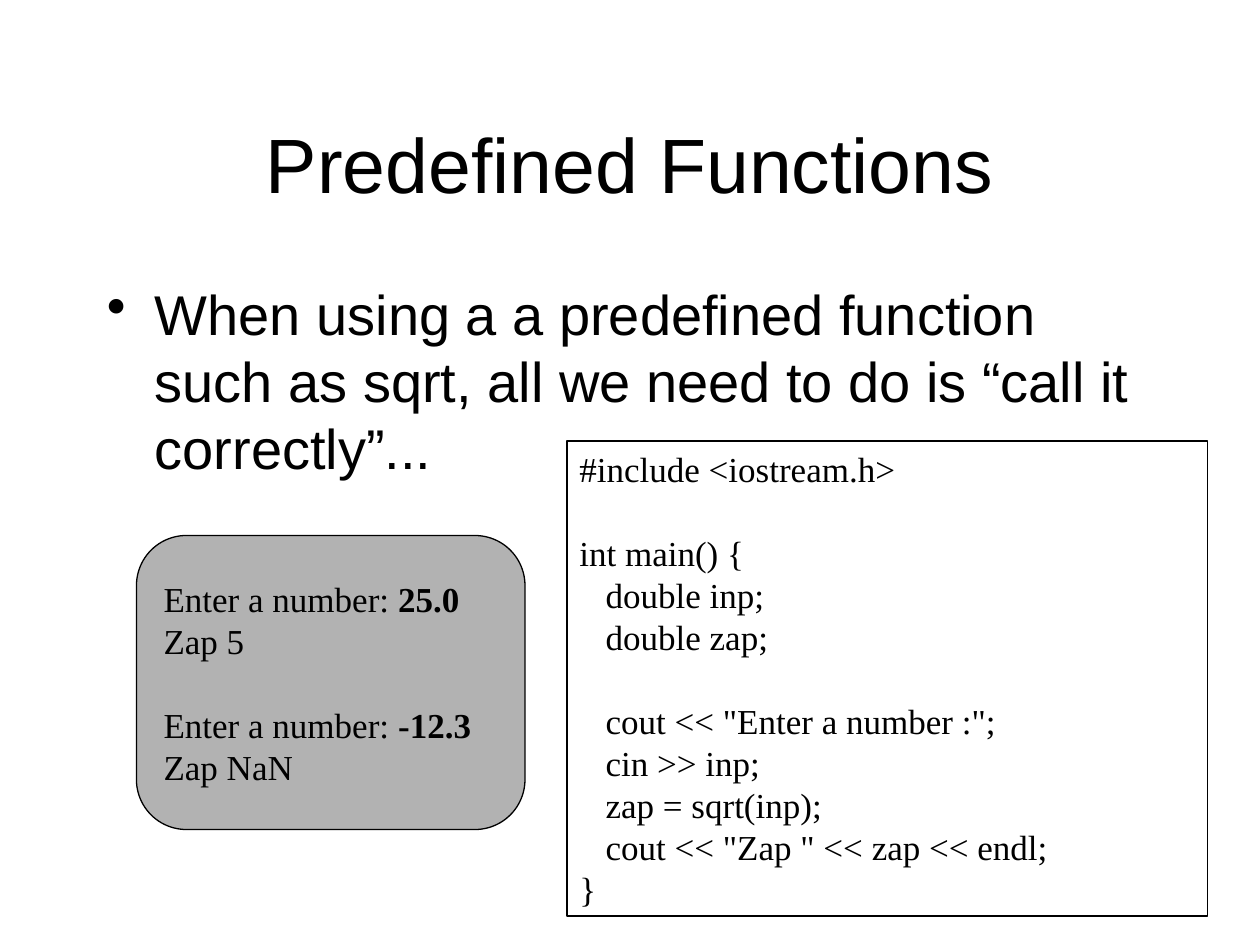
import pptx
import pptx.util
import pptx.dml.color
import pptx.enum.shapes
import pptx.enum.text
from lxml import etree

# Content: each line is a list of (text, bold) runs; an empty line is a gap
TITLE = [[("Predefined Functions", False)]]
BODY = [[("When using a a predefined function such as sqrt, "
          "all we need to do is “call it correctly”...", False)]]
CODE = """#include <iostream.h>

int main() {
   double inp;
   double zap;

   cout << "Enter a number :";
   cin >> inp;
   zap = sqrt(inp);
   cout << "Zap " << zap << endl;
}"""
CODE_LINES = [[(line, False)] if line else [] for line in CODE.split("\n")]
SESSION = [
    [("Enter a number: ", False), ("25.0", True)],
    [("Zap 5", False)],
    [],
    [("Enter a number: ", False), ("-12.3", True)],
    [("Zap NaN", False)],
]

# Design: places are left, top, width, height on a 120 by 90 grid
COLORS = {"ink": "000000", "screen": "B2B2B2"}
WIDTH, HEIGHT = 10, 7.5
COLUMNS, ROWS = 120, 90
PLACES = {
    "title": (9, 8, 102, 15),
    "body": (9, 26, 102, 54),
    "code": (54, 42, 61, 45.25),
    "session": (13, 51, 37, 28),
}
LINE_PITCH = 1.2
SHAPES = pptx.enum.shapes.MSO_SHAPE
ANCHOR = pptx.enum.text.MSO_ANCHOR
ALIGN = pptx.enum.text.PP_ALIGN


def color(name):
    return pptx.dml.color.RGBColor.from_string(COLORS[name])


def place(name):
    left, top, width, height = PLACES[name]
    column, row = WIDTH / COLUMNS, HEIGHT / ROWS
    return [pptx.util.Inches(length) for length in
            (left * column, top * row, width * column, height * row)]


def write(box, lines, font, size, anchor=ANCHOR.TOP, align=ALIGN.LEFT):
    frame = box.text_frame
    frame.word_wrap = True
    frame.vertical_anchor = anchor
    pitch = size * LINE_PITCH
    gap = 0
    para = None
    for line in lines:
        if not line:
            gap += pitch
            continue
        para = frame.paragraphs[0] if para is None else frame.add_paragraph()
        para.alignment = align
        para.line_spacing = pptx.util.Pt(pitch)
        para.space_before = pptx.util.Pt(gap)
        gap = 0
        for text, bold in line:
            span = para.add_run()
            span.text = text
            span.font.name = font
            span.font.size = pptx.util.Pt(size)
            span.font.bold = bold
            span.font.color.rgb = color("ink")


def add_bullet(para, indent):
    props = para._p.get_or_add_pPr()
    props.set("marL", str(pptx.util.Inches(indent)))
    props.set("indent", str(-pptx.util.Inches(indent)))
    bullet = etree.SubElement(props, pptx.oxml.ns.qn("a:buChar"))
    bullet.set("char", "•")


def add_panel(page, kind, name, fill=None):
    panel = page.shapes.add_shape(kind, *place(name))
    panel.shadow.inherit = False
    if fill:
        panel.fill.solid()
        panel.fill.fore_color.rgb = color(fill)
    else:
        panel.fill.background()
    panel.line.color.rgb = color("ink")
    panel.line.width = pptx.util.Pt(0.75)
    return panel


def main():
    deck = pptx.Presentation()
    deck.slide_width = pptx.util.Inches(WIDTH)
    deck.slide_height = pptx.util.Inches(HEIGHT)
    page = deck.slides.add_slide(deck.slide_layouts[6])

    # Title and bullet
    title = page.shapes.add_textbox(*place("title"))
    write(title, TITLE, "Arial", 44, ANCHOR.MIDDLE, ALIGN.CENTER)
    body = page.shapes.add_textbox(*place("body"))
    write(body, BODY, "Arial", 32)
    add_bullet(body.text_frame.paragraphs[0], 0.38)

    # Program listing and its output
    code = add_panel(page, SHAPES.RECTANGLE, "code")
    write(code, CODE_LINES, "Times New Roman", 20)
    session = add_panel(page, SHAPES.ROUNDED_RECTANGLE, "session", "screen")
    session.adjustments[0] = 0.17
    write(session, SESSION, "Times New Roman", 20, ANCHOR.MIDDLE)

    deck.save("out.pptx")


if __name__ == "__main__":
    main()
